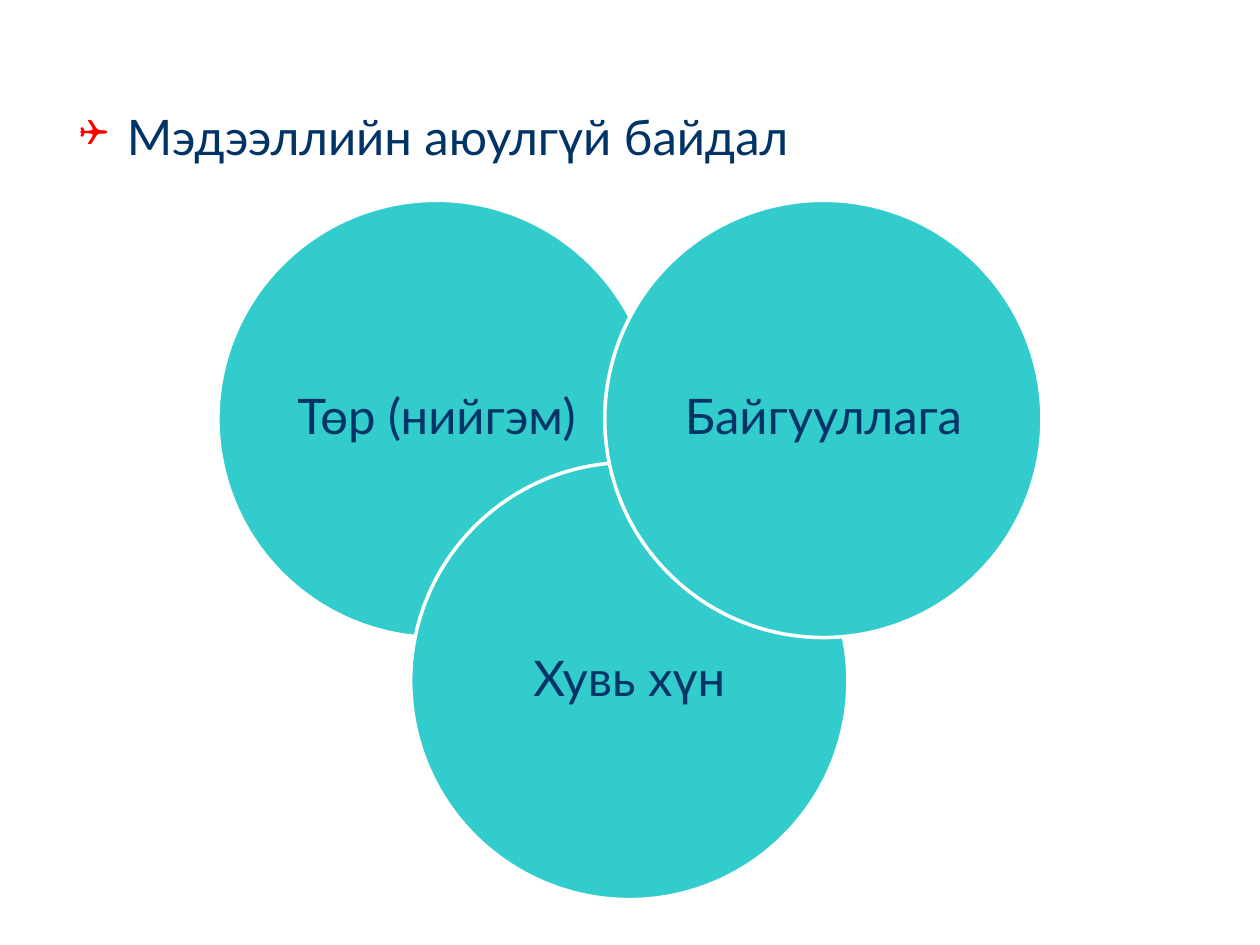
from lxml.etree import SubElement
from pptx import Presentation
from pptx.dml.color import RGBColor
from pptx.enum.shapes import MSO_SHAPE
from pptx.enum.text import MSO_ANCHOR, PP_ALIGN
from pptx.oxml.ns import qn
from pptx.util import Inches, Pt

COLORS = {"text": "003366", "circle": "33CCCC", "line": "FFFFFF", "bullet": "FF0000"}


def color(name):
    return RGBColor.from_string(COLORS[name])


def write(par, text):
    """Add a run in the slide's text style."""
    run = par.add_run()
    run.text = text
    run.font.name = "Lato"
    run.font.size = Pt(28)
    run.font.color.rgb = color("text")


prs = Presentation()
prs.slide_width, prs.slide_height = Inches(10), Inches(7.5)
slide = prs.slides.add_slide(prs.slide_layouts[6])

# Heading with a red box bullet
box = slide.shapes.add_textbox(Inches(0.53), Inches(0.68), Inches(9), Inches(1))
frame = box.text_frame
frame.word_wrap = True
par = frame.paragraphs[0]
par.alignment = PP_ALIGN.JUSTIFY
par.line_spacing = 1.25
par.space_after = Pt(12)
write(par, "Мэдээллийн аюулгүй байдал")
props = par._p.get_or_add_pPr()
props.set("marL", str(Inches(0.38)))
props.set("indent", str(-Inches(0.38)))
tint = SubElement(props, qn("a:buClr"))
SubElement(tint, qn("a:srgbClr"), val=COLORS["bullet"])
SubElement(props, qn("a:buSzPct"), val="75000")
SubElement(props, qn("a:buFont"), typeface="Wingdings")
SubElement(props, qn("a:buChar"), char="❑")

# Three overlapping circles, back to front
size = 3.47
circles = [
    ("Төр (нийгэм)", 1.73, 1.59),
    ("Хувь хүн", 3.26, 3.67),
    ("Байгууллага", 4.8, 1.59),
]
for label, left, top in circles:
    disc = slide.shapes.add_shape(
        MSO_SHAPE.OVAL, Inches(left), Inches(top), Inches(size), Inches(size))
    disc.shadow.inherit = False
    disc.fill.solid()
    disc.fill.fore_color.rgb = color("circle")
    disc.line.color.rgb = color("line")
    disc.line.width = Pt(2)
    frame = disc.text_frame
    frame.word_wrap = True
    frame.vertical_anchor = MSO_ANCHOR.MIDDLE
    frame.margin_left = frame.margin_right = Inches(0.12)
    frame.margin_top = frame.margin_bottom = Inches(0.12)
    par = frame.paragraphs[0]
    par.alignment = PP_ALIGN.CENTER
    par.line_spacing = 0.9
    write(par, label)

prs.save("out.pptx")
